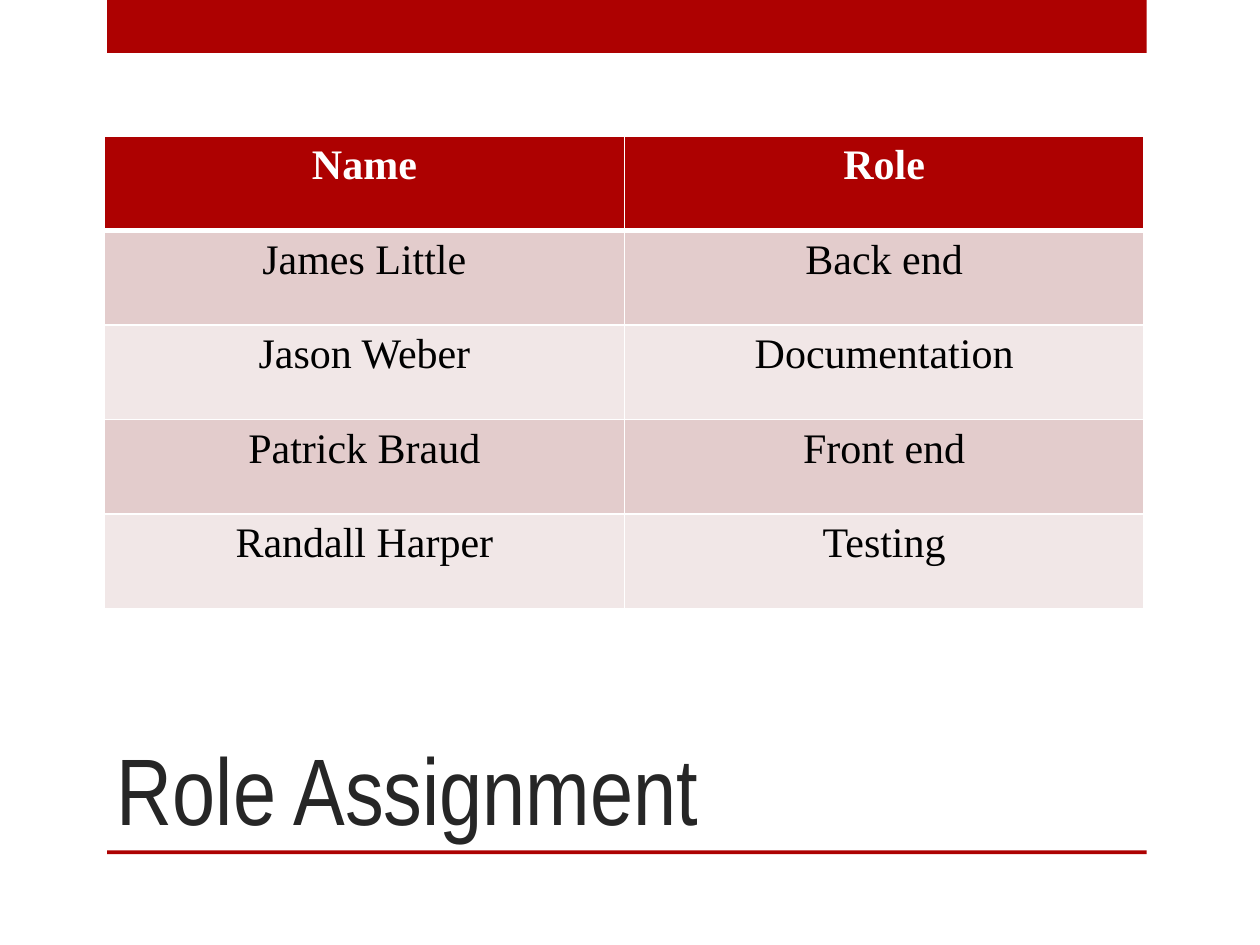
"""Build the role assignment slide with its table, title and red bars."""
import lxml.etree
import pptx
import pptx.dml.color
import pptx.enum.shapes
import pptx.enum.text
import pptx.oxml.ns
import pptx.util

COLORS = {"red": "AD0101", "title": "262626", "white": "FFFFFF", "black": "000000",
          "odd": "E3CCCC", "even": "F1E7E7"}
TITLE = "Role Assignment"
ROLES = [
    ("Name", "Role"),
    ("James Little", "Back end"),
    ("Jason Weber", "Documentation"),
    ("Patrick Braud", "Front end"),
    ("Randall Harper", "Testing"),
]
WIDTH, HEIGHT = 10, 7.5
BAR_LEFT, TABLE_LEFT, CONTENT_WIDTH, ROW_HEIGHT = 0.85, 0.83, 8.25, 0.75
BARS = [(0, 0.42), (6.75, 0.03)]
TITLE_FORMAT = {"name": "Arial Narrow", "size": pptx.util.Pt(54)}
CELL_FORMAT = {"name": "Times New Roman", "size": pptx.util.Pt(24)}


def inches(*lengths):
    return [pptx.util.Inches(length) for length in lengths]


def rgb(name):
    return pptx.dml.color.RGBColor.from_string(COLORS[name])


def paint(target, color):
    target.fill.solid()
    target.fill.fore_color.rgb = rgb(color)


def write(frame, text, color, formats):
    para = frame.paragraphs[0]
    span = para.add_run()
    span.text = text
    span.font.color.rgb = rgb(color)
    for name, value in formats.items():
        setattr(span.font, name, value)
    return para


def add_borders(cell, widths):
    properties = cell._tc.get_or_add_tcPr()
    qn = pptx.oxml.ns.qn
    for side, points in widths.items():
        line = lxml.etree.SubElement(properties, qn(f"a:ln{side}"), w=str(pptx.util.Pt(points)))
        fill = lxml.etree.SubElement(line, qn("a:solidFill"))
        lxml.etree.SubElement(fill, qn("a:srgbClr"), val=COLORS["white"])


deck = pptx.Presentation()
deck.slide_width, deck.slide_height = inches(WIDTH, HEIGHT)
page = deck.slides.add_slide(deck.slide_layouts[6])

for top, height in BARS:
    bar = page.shapes.add_shape(pptx.enum.shapes.MSO_SHAPE.RECTANGLE,
                                *inches(BAR_LEFT, top, CONTENT_WIDTH, height))
    bar.shadow.inherit = False
    paint(bar, "red")
    bar.line.fill.background()

title_box = page.shapes.add_textbox(*inches(TABLE_LEFT, 5, 7.42, 1.75))
title_box.text_frame.word_wrap = True
title_box.text_frame.vertical_anchor = pptx.enum.text.MSO_ANCHOR.BOTTOM
write(title_box.text_frame, TITLE, "title", TITLE_FORMAT)

row_count, column_count = len(ROLES), len(ROLES[0])
table = page.shapes.add_table(row_count, column_count, *inches(
    TABLE_LEFT, 1.08, CONTENT_WIDTH, ROW_HEIGHT * row_count)).table

for row, entries in enumerate(ROLES):
    header = row == 0
    fill = "red" if header else "odd" if row % 2 else "even"
    color = "white" if header else "black"
    widths = {"L": 1, "R": 1, "T": 3 if row == 1 else 1, "B": 3 if header else 1}
    for column, text in enumerate(entries):
        cell = table.cell(row, column)
        add_borders(cell, widths)
        paint(cell, fill)
        para = write(cell.text_frame, text, color, {**CELL_FORMAT, "bold": header})
        para.alignment = pptx.enum.text.PP_ALIGN.CENTER

deck.save("out.pptx")
